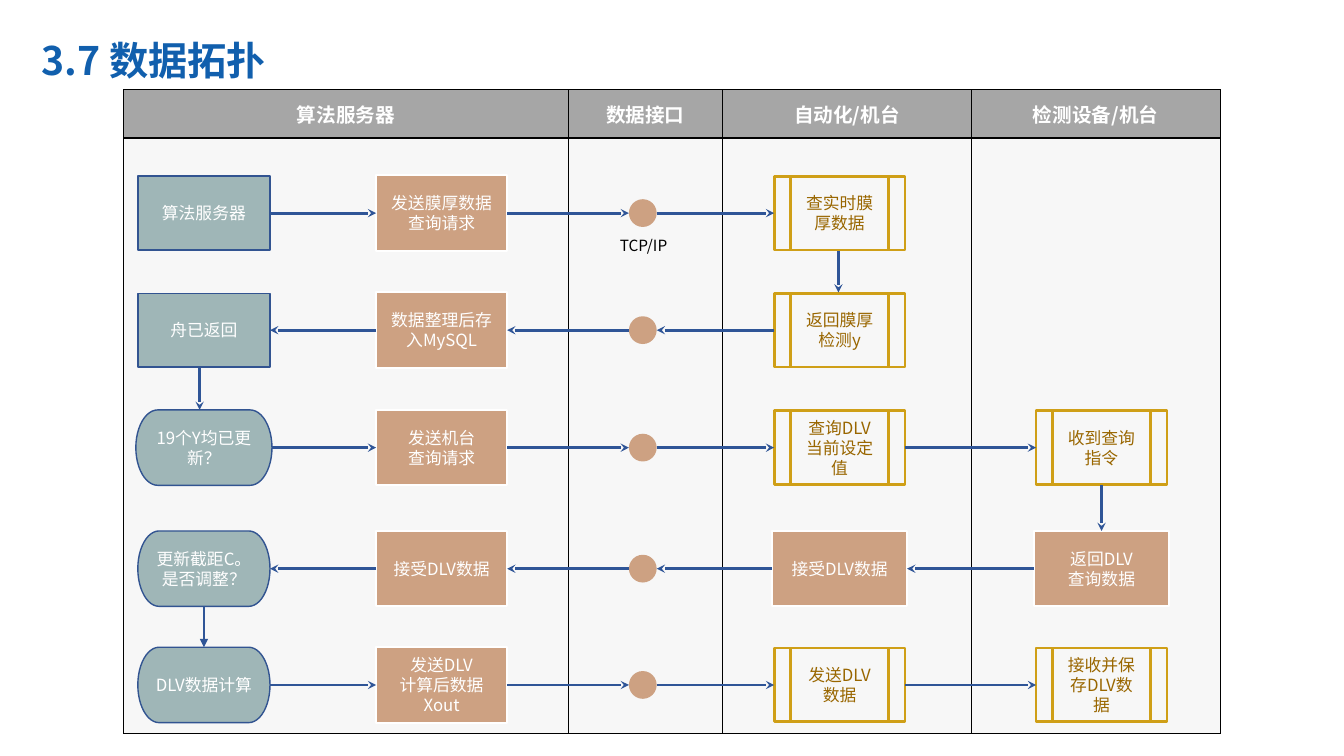
from collections import namedtuple
from itertools import pairwise

from lxml.etree import SubElement
from pptx import Presentation
from pptx.dml.color import RGBColor
from pptx.enum.shapes import MSO_CONNECTOR, MSO_SHAPE
from pptx.enum.text import MSO_ANCHOR, PP_ALIGN
from pptx.oxml.ns import qn
from pptx.util import Cm, Pt

FONT = "Noto Sans CJK SC"
WHITE = RGBColor(0xFF, 0xFF, 0xFF)
BLACK = RGBColor(0x00, 0x00, 0x00)
BLUE = RGBColor(0x11, 0x5F, 0xAD)
NAVY = RGBColor(0x2F, 0x55, 0x97)
EDGE = RGBColor(0x32, 0x54, 0x91)
SAGE = RGBColor(0x9F, 0xB6, 0xB7)
CLAY = RGBColor(0xCD, 0xA1, 0x82)
GOLD = RGBColor(0xCF, 0x9F, 0x17)
BROWN = RGBColor(0x99, 0x66, 0x00)
GREY = RGBColor(0xA6, 0xA6, 0xA6)
PALE = RGBColor(0xD9, 0xD9, 0xD9)

Kind = namedtuple("Kind", "form wide high fill edge width ink")
STATE = Kind(MSO_SHAPE.RECTANGLE, 3.33, 1.86, SAGE, EDGE, 1, WHITE)
CHECK = Kind(MSO_SHAPE.FLOWCHART_TERMINATOR, 3.33, 1.9, SAGE, EDGE, 1, WHITE)
LONG = CHECK._replace(wide=3.43)
TASK = Kind(MSO_SHAPE.RECTANGLE, 3.3, 1.9, CLAY, WHITE, 1.5, WHITE)
BROAD = TASK._replace(wide=3.4)
CALL = Kind(MSO_SHAPE.FLOWCHART_PREDEFINED_PROCESS, 3.3, 1.86, None, GOLD, 2, BROWN)
DOT = Kind(MSO_SHAPE.FLOWCHART_CONNECTOR, 0.7, 0.7, CLAY, None, 0, WHITE)

LANES = [("算法服务器", 11.2), ("数据接口", 3.89), ("自动化/机台", 6.27), ("检测设备/机台", 6.27)]
COLS = [5.14, 11.13, 16.2, 21.16, 27.76]
ROWS = [5.37, 8.32, 11.28, 14.33, 17.26]
PORT = (DOT, "")
FLOW = [
    [(STATE, "算法服务器"), (TASK, "发送膜厚数据查询请求"), PORT, (CALL, "查实时膜厚数据")],
    [(STATE, "舟已返回"), (TASK, "数据整理后存入MySQL"), PORT, (CALL, "返回膜厚检测y")],
    [(LONG, "19个Y均已更新？"), (TASK, "发送机台\n查询请求"), PORT,
     (CALL, "查询DLV当前设定值"), (CALL, "收到查询指令")],
    [(CHECK, "更新截距C。\n是否调整？"), (TASK, "接受DLV数据"), PORT,
     (BROAD, "接受DLV数据"), (BROAD, "返回DLV\n查询数据")],
    [(CHECK, "DLV数据计算"), (TASK, "发送DLV\n计算后数据\nXout"), PORT,
     (CALL, "发送DLV数据"), (CALL, "接收并保存DLV数据")],
]
BACK = {1, 3}
DROPS = [(5.03, 1, "stealth"), (21.13, 0, "stealth"), (27.76, 2, "stealth"), (5.14, 3, "triangle")]


def write(frame, text, size=12, color=WHITE, bold=False, align=PP_ALIGN.CENTER):
    """Fill a text frame, one paragraph per line of text."""
    for i, line in enumerate(text.split("\n")):
        para = frame.paragraphs[0] if i == 0 else frame.add_paragraph()
        para.alignment = align
        run = para.add_run()
        run.text = line
        font = run.font
        font.name, font.size, font.bold = FONT, Pt(size), bold
        font.color.rgb = color
        SubElement(run._r.get_or_add_rPr(), qn("a:ea"), typeface=FONT)


def label(slide, box, text, anchor=MSO_ANCHOR.TOP, wrap=True, **style):
    """Add a text box."""
    frame = slide.shapes.add_textbox(*map(Cm, box)).text_frame
    frame.word_wrap = wrap
    frame.vertical_anchor = anchor
    write(frame, text, **style)


def node(slide, kind, x, y, text):
    """Add a flow shape centred on a point."""
    shape = slide.shapes.add_shape(kind.form, Cm(x - kind.wide / 2), Cm(y - kind.high / 2),
                                   Cm(kind.wide), Cm(kind.high))
    shape.shadow.inherit = False
    if kind.fill:
        shape.fill.solid()
        shape.fill.fore_color.rgb = kind.fill
    else:
        shape.fill.background()
    if kind.edge:
        shape.line.color.rgb = kind.edge
        shape.line.width = Pt(kind.width)
    else:
        shape.line.fill.background()
    if text:
        frame = shape.text_frame
        frame.word_wrap = True
        frame.vertical_anchor = MSO_ANCHOR.MIDDLE
        write(frame, text, color=kind.ink)


def arrow(slide, start, end, head="stealth"):
    """Add a straight arrow between two points."""
    link = slide.shapes.add_connector(MSO_CONNECTOR.STRAIGHT, *map(Cm, start + end))
    link.line.color.rgb = NAVY
    link.line.width = Pt(2)
    props = link._element.spPr
    SubElement(props.find(qn("a:ln")), qn("a:tailEnd"), type=head)
    SubElement(props, qn("a:effectLst"))


def paint(cell, fill, base, top, alpha=None):
    """Set the borders and fill of a cell."""
    props = cell._tc.get_or_add_tcPr()
    for side, width in (("L", 1), ("R", 1), ("T", top), ("B", base)):
        edge = SubElement(props, qn(f"a:ln{side}"), w=str(Pt(width)))
        ink = SubElement(edge, qn("a:solidFill"))
        SubElement(ink, qn("a:srgbClr"), val=str(BLACK))
    cell.fill.solid()
    cell.fill.fore_color.rgb = fill
    if alpha:
        tone = props.find(qn("a:solidFill")).find(qn("a:srgbClr"))
        SubElement(tone, qn("a:alpha"), val=str(alpha * 1000))


def lanes(slide):
    """Add the table of swim lanes."""
    span = sum(wide for _, wide in LANES)
    table = slide.shapes.add_table(2, len(LANES), Cm(3.12), Cm(2.26), Cm(span), Cm(16.23)).table
    table.first_row = table.horz_banding = False
    table.rows[0].height, table.rows[1].height = Cm(1.22), Cm(15.01)
    for i, (name, wide) in enumerate(LANES):
        table.columns[i].width = Cm(wide)
        head = table.cell(0, i)
        head.vertical_anchor = MSO_ANCHOR.MIDDLE
        write(head.text_frame, name, size=14, bold=True)
        paint(head, GREY, base=2, top=1)
        paint(table.cell(1, i), PALE, base=1, top=2, alpha=20)


def chain(slide, y, steps, back):
    """Add one row of nodes and the arrows between them."""
    for x, (kind, text) in zip(COLS, steps):
        node(slide, kind, x, y, text)
    for (x, (kind, _)), (after, (other, _)) in pairwise(zip(COLS, steps)):
        ends = [(x + kind.wide / 2, y), (after - other.wide / 2, y)]
        arrow(slide, *(ends[::-1] if back else ends))


def main():
    """Build the slide."""
    deck = Presentation()
    deck.slide_width, deck.slide_height = Cm(33.87), Cm(19.05)
    slide = deck.slides.add_slide(deck.slide_layouts[6])
    lanes(slide)
    for i, (y, steps) in enumerate(zip(ROWS, FLOW)):
        chain(slide, y, steps, i in BACK)
    for x, i, head in DROPS:
        arrow(slide, (x, ROWS[i] + 0.95), (x, ROWS[i + 1] - 0.95), head)
    label(slide, (15.32, 5.72, 1.8, 0.94), "TCP/IP", anchor=MSO_ANCHOR.MIDDLE, wrap=False,
          size=11, color=BLACK)
    label(slide, (0.79, 0.79, 14.05, 1.45), "3.7 数据拓扑", size=28, color=BLUE, bold=True,
          align=PP_ALIGN.LEFT)
    deck.save("out.pptx")


if __name__ == "__main__":
    main()
